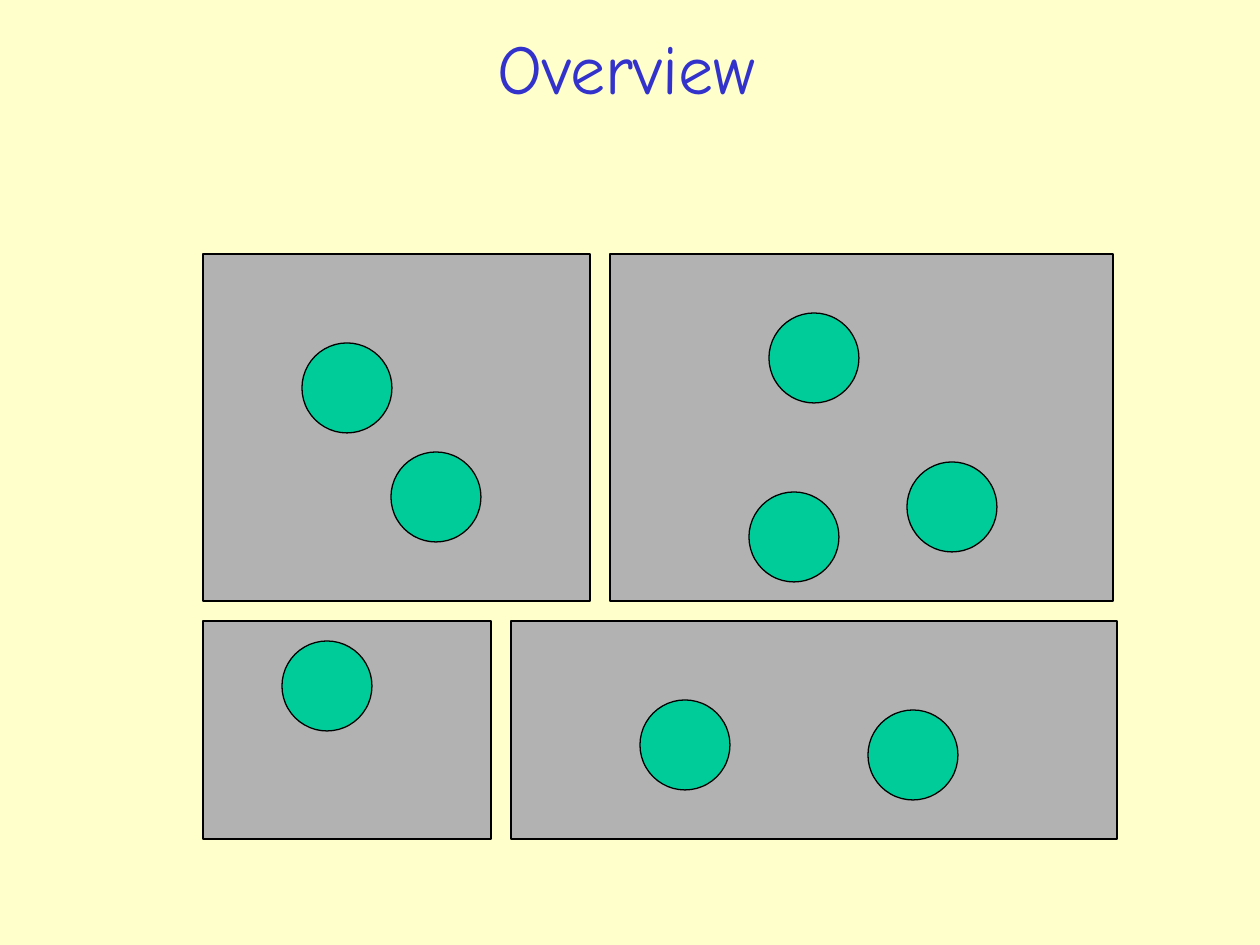
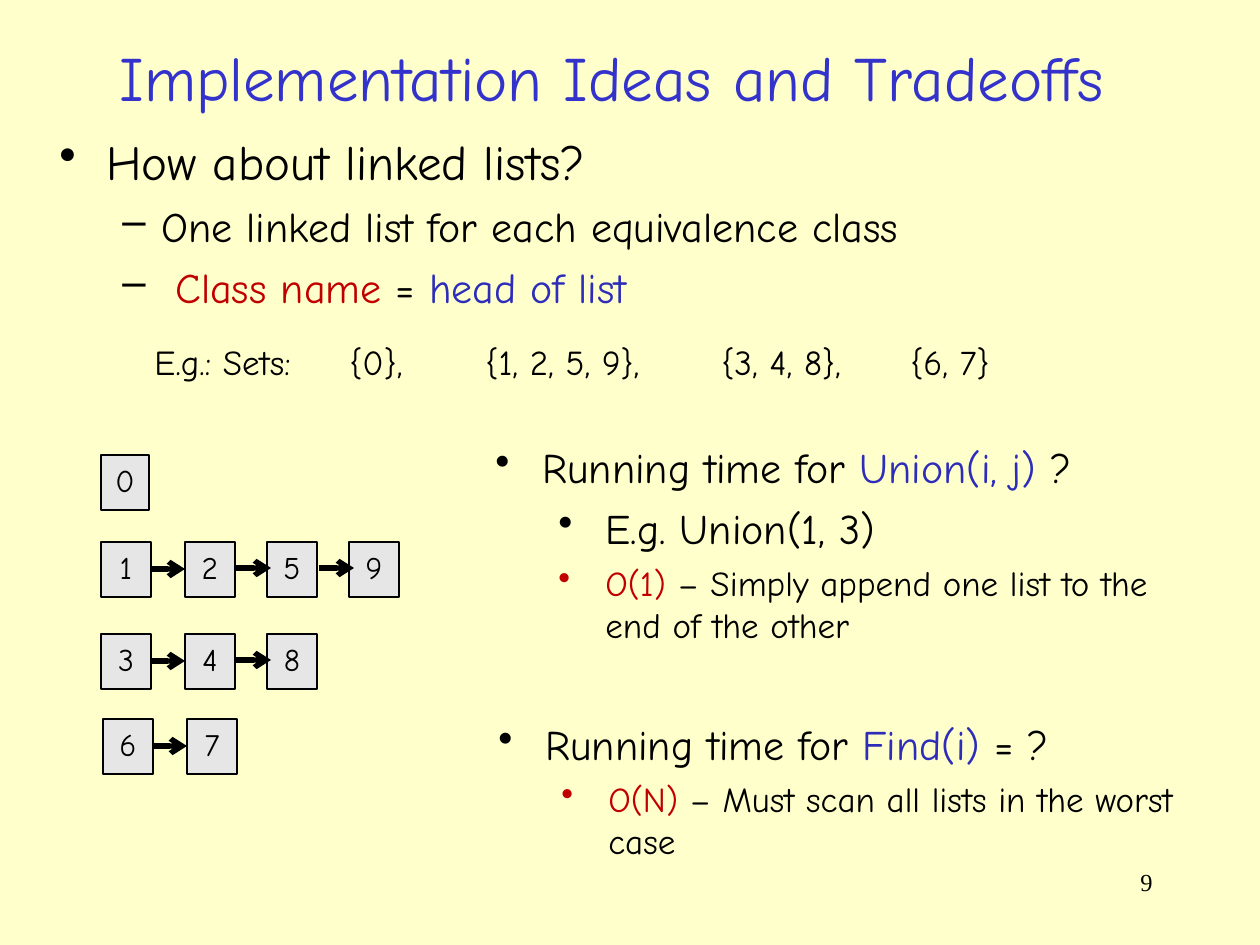
from lxml import etree
from pptx import Presentation
from pptx import util as u
from pptx.dml import color
from pptx.enum import shapes, text
from pptx.oxml import ns


class Theme:
    paper = color.RGBColor.from_string("FFFFCC")
    heading = color.RGBColor.from_string("3333CC")
    ink = color.RGBColor.from_string("000000")
    red = color.RGBColor.from_string("C00000")
    blue = color.RGBColor.from_string("2D2DB9")
    panel = color.RGBColor.from_string("B2B2B2")
    element = color.RGBColor.from_string("00CC99")
    node = color.RGBColor.from_string("E6E6E6")
    font = "Comic Neue"
    number_font = "Times New Roman"
    overview_size, title_size = 40, 36
    lead_size, point_size, detail_size = 28, 24, 20
    node_size, number_size = 18, 14
    outline, arrow = u.Pt(0.75), u.Pt(3)


PX = u.Inches(1) / 126


def add_shape(slide, kind, box, fill):
    shape = slide.shapes.add_shape(kind, *[round(v * PX) for v in box])
    shape.shadow.inherit = False
    shape.fill.solid()
    shape.fill.fore_color.rgb = fill
    shape.line.color.rgb = Theme.ink
    shape.line.width = Theme.outline
    return shape


def add_outline(slide, box, points):
    frame = slide.shapes.add_textbox(*[round(v * PX) for v in box]).text_frame
    frame.word_wrap = True
    for index, (bullet, margin, hanging, size, before, runs) in enumerate(points):
        paragraph = frame.add_paragraph() if index else frame.paragraphs[0]
        properties = paragraph._p.get_or_add_pPr()
        properties.set("marL", str(round(margin * PX)))
        properties.set("indent", str(round(-hanging * PX)))
        bullet_color = etree.SubElement(properties, ns.qn("a:buClr"))
        first_color = runs[0][1] if bullet == "•" else Theme.ink
        etree.SubElement(bullet_color, ns.qn("a:srgbClr"), val=str(first_color))
        etree.SubElement(properties, ns.qn("a:buChar"), char=bullet)
        paragraph.font.name = Theme.font
        paragraph.font.size = u.Pt(size)
        if index:
            paragraph.level = 1
            paragraph.space_before = u.Pt(before)
        for words, ink in runs:
            run = paragraph.add_run()
            run.text = words
            run.font.color.rgb = ink


deck = Presentation()
deck.slide_width, deck.slide_height = round(1260 * PX), round(945 * PX)
deck.slide_master.background.fill.solid()
deck.slide_master.background.fill.fore_color.rgb = Theme.paper

slides = []
for heading, size, box in [
    ("Overview", Theme.overview_size, (91, 19, 1071, 96)),
    ("Implementation Ideas and Tradeoffs", Theme.title_size, (47, 33, 1129, 87)),
]:
    slide = deck.slides.add_slide(deck.slide_layouts[5])
    title = slide.shapes.title
    title.left, title.top, title.width, title.height = [round(v * PX) for v in box]
    title.text_frame.text = heading
    title.text_frame.auto_size = text.MSO_AUTO_SIZE.NONE
    title.text_frame.vertical_anchor = text.MSO_ANCHOR.MIDDLE
    paragraph = title.text_frame.paragraphs[0]
    paragraph.alignment = text.PP_ALIGN.CENTER
    paragraph.font.name = Theme.font
    paragraph.font.size = u.Pt(size)
    paragraph.font.color.rgb = Theme.heading
    slides.append(slide)
overview, tradeoffs = slides

for panel in [
    (203, 254, 387, 347),
    (610, 254, 503, 347),
    (203, 621, 288, 218),
    (511, 621, 606, 218),
]:
    add_shape(overview, shapes.MSO_SHAPE.RECTANGLE, panel, Theme.panel)

for left, top in [(302, 343), (391, 452), (769, 313), (907, 462),
                  (749, 492), (282, 641), (640, 700), (868, 710)]:
    add_shape(overview, shapes.MSO_SHAPE.OVAL, (left, top, 90, 90), Theme.element)

add_outline(tradeoffs, (47, 125, 1166, 209), [
    ("•", 47, 47, Theme.lead_size, 0, [("How about linked lists?", Theme.ink)]),
    ("–", 102, 39, Theme.point_size, 6,
     [("One linked list for each equivalence class", Theme.ink)]),
    ("–", 102, 39, Theme.point_size, 6,
     [(" Class name ", Theme.red), ("= ", Theme.ink), ("head of list", Theme.blue)]),
])
add_outline(tradeoffs, (483, 435, 730, 234), [
    ("•", 47, 47, Theme.point_size, 0,
     [("Running time for ", Theme.ink), ("Union(i, j)", Theme.blue), (" ?", Theme.ink)]),
    ("•", 110, 47, Theme.point_size, 6, [("E.g. Union(1, 3)", Theme.ink)]),
    ("•", 110, 47, Theme.detail_size, 5,
     [("O(1)", Theme.red),
      (" – Simply append one list to the end of the other", Theme.ink)]),
])
add_outline(tradeoffs, (486, 712, 730, 173), [
    ("•", 47, 47, Theme.point_size, 0,
     [("Running time for ", Theme.ink), ("Find(i) ", Theme.blue), ("= ?", Theme.ink)]),
    ("•", 110, 47, Theme.detail_size, 5,
     [("O(N)", Theme.red), (" – Must scan all lists in the worst case", Theme.ink)]),
])

for words, box, font, size, align, stops in [
    ("E.g.: Sets:\t{0},\t{1, 2, 5, 9},\t{3, 4, 8},\t{6, 7}", (142, 334, 941, 55),
     Theme.font, Theme.detail_size, text.PP_ALIGN.LEFT, [195, 331, 567, 756]),
    ("9", (903, 861, 262, 63),
     Theme.number_font, Theme.number_size, text.PP_ALIGN.RIGHT, []),
]:
    frame = tradeoffs.shapes.add_textbox(*[round(v * PX) for v in box]).text_frame
    frame.word_wrap = True
    frame.text = words
    paragraph = frame.paragraphs[0]
    paragraph.alignment = align
    if stops:
        tabs = etree.SubElement(paragraph._p.get_or_add_pPr(), ns.qn("a:tabLst"))
        for stop in stops:
            etree.SubElement(tabs, ns.qn("a:tab"), pos=str(round(stop * PX)), algn="l")
    paragraph.font.name = font
    paragraph.font.size = u.Pt(size)
    paragraph.font.color.rgb = Theme.ink

node_lefts = [101, 185, 267, 349]
link_spans = [(151, 185, 27), (236, 271, 26), (319, 354, 26)]
for members, top, shift, width in [
    ("0", 455, 0, 48),
    ("1259", 542, 0, 50),
    ("348", 634, 0, 50),
    ("67", 719, 2, 50),
]:
    for member, left in zip(members, node_lefts):
        node = add_shape(tradeoffs, shapes.MSO_SHAPE.RECTANGLE,
                         (left + shift, top, width, 55), Theme.node)
        node.text_frame.text = member
        node.text_frame.vertical_anchor = text.MSO_ANCHOR.TOP
        paragraph = node.text_frame.paragraphs[0]
        paragraph.alignment = text.PP_ALIGN.CENTER
        paragraph.font.name = Theme.font
        paragraph.font.size = u.Pt(Theme.node_size)
        paragraph.font.color.rgb = Theme.ink
    for start, end, drop in link_spans[:len(members) - 1]:
        ends = (start + shift, top + drop, end + shift, top + drop)
        link = tradeoffs.shapes.add_connector(
            shapes.MSO_CONNECTOR.STRAIGHT, *[round(v * PX) for v in ends])
        link.line.color.rgb = Theme.ink
        link.line.width = Theme.arrow
        etree.SubElement(link.line._get_or_add_ln(), ns.qn("a:tailEnd"), type="arrow")
        etree.SubElement(link._element.spPr, ns.qn("a:effectLst"))

deck.save("out.pptx")
